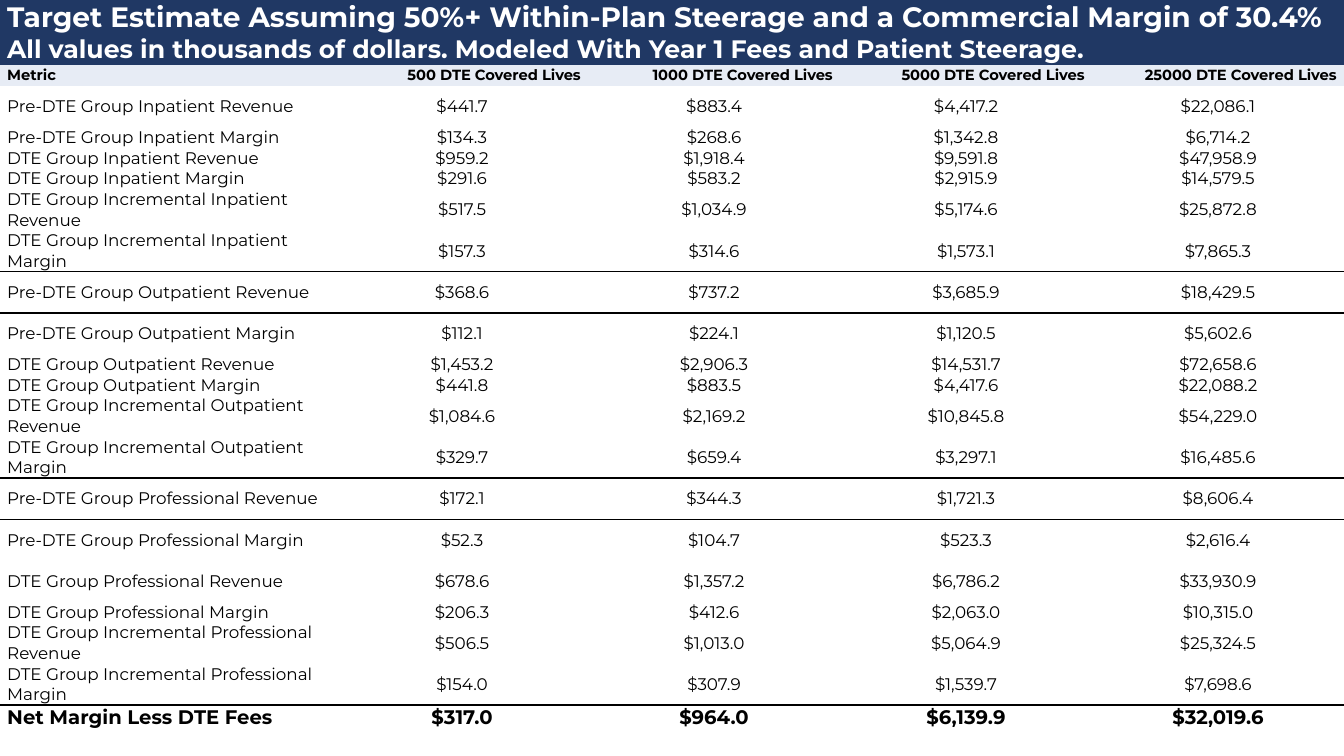
from lxml import etree
from pptx import Presentation
from pptx import util as u
from pptx.dml.color import RGBColor
from pptx.enum import text
from pptx.oxml import ns

COLORS = {"navy": "203864", "pale": "E7ECF5", "black": "000000", "white": "FFFFFF"}
NO_GRID = "{2D5ABB26-0587-4C30-8999-92F81FD0307C}"
LEFT, CENTER, RIGHT = (text.PP_ALIGN.LEFT, text.PP_ALIGN.CENTER, text.PP_ALIGN.RIGHT)
TALL, SHORT = 1.04, 0.52

TITLES = [
    ("Target Estimate Assuming 50%+ Within-Plan Steerage and a Commercial Margin of 30.4%", 20, 0.87),
    ("All values in thousands of dollars. Modeled With Year 1 Fees and Patient Steerage.", 18, 0.77),
]
LIVES = [500, 1000, 5000, 25000]
STAGES = ["Pre-DTE Group", "DTE Group", "DTE Group Incremental"]
MEASURES = ["Revenue", "Margin"]
SERVICES = {
    "Inpatient": (
        [TALL, SHORT, SHORT, SHORT, TALL, TALL],
        [
            [441.7, 883.4, 4417.2, 22086.1],
            [134.3, 268.6, 1342.8, 6714.2],
            [959.2, 1918.4, 9591.8, 47958.9],
            [291.6, 583.2, 2915.9, 14579.5],
            [517.5, 1034.9, 5174.6, 25872.8],
            [157.3, 314.6, 1573.1, 7865.3],
        ],
    ),
    "Outpatient": (
        [TALL, TALL, SHORT, SHORT, TALL, TALL],
        [
            [368.6, 737.2, 3685.9, 18429.5],
            [112.1, 224.1, 1120.5, 5602.6],
            [1453.2, 2906.3, 14531.7, 72658.6],
            [441.8, 883.5, 4417.6, 22088.2],
            [1084.6, 2169.2, 10845.8, 54229.0],
            [329.7, 659.4, 3297.1, 16485.6],
        ],
    ),
    "Professional": (
        [TALL, TALL, TALL, SHORT, TALL, TALL],
        [
            [172.1, 344.3, 1721.3, 8606.4],
            [52.3, 104.7, 523.3, 2616.4],
            [678.6, 1357.2, 6786.2, 33930.9],
            [206.3, 412.6, 2063.0, 10315.0],
            [506.5, 1013.0, 5064.9, 25324.5],
            [154.0, 307.9, 1539.7, 7698.6],
        ],
    ),
}
NET_MARGIN = [317.0, 964.0, 6139.9, 32019.6]


def write(tf, words, size=12, bold=False, color="black", align=LEFT, font="Montserrat"):
    p = tf.paragraphs[0]
    p.alignment = align
    pPr = p._p.get_or_add_pPr()
    for side in ("marL", "marR"):
        pPr.set(side, str(u.Cm(0.18)))
    pPr.set("indent", "0")
    r = p.add_run()
    r.text = words
    r.font.name, r.font.size, r.font.bold = font, u.Pt(size), bold
    r.font.color.rgb = RGBColor.from_string(COLORS[color])


class Deck:
    """Style and current slide of the margin estimate."""

    def __init__(self, width, height):
        self.prs = Presentation()
        self.prs.slide_width, self.prs.slide_height = u.Cm(width), u.Cm(height)
        self.s = self.prs.slides.add_slide(self.prs.slide_layouts[6])

    def table(self, widths, heights):
        frame = self.s.shapes.add_table(
            len(heights), len(widths), 0, 0, u.Cm(sum(widths)), u.Cm(sum(heights))
        )
        tbl = frame.table
        tbl.first_row = tbl.horz_banding = False
        tbl._tbl.tblPr.find(ns.qn("a:tableStyleId")).text = NO_GRID
        for col, width in zip(tbl.columns, widths):
            col.width = u.Cm(width)
        for row, height in zip(tbl.rows, heights):
            row.height = u.Cm(height)
        return tbl

    def cell(self, cell, words, fill=None, **style):
        cell.margin_left = cell.margin_right = cell.margin_top = cell.margin_bottom = 0
        cell.vertical_anchor = text.MSO_ANCHOR.MIDDLE
        if fill:
            cell.fill.solid()
            cell.fill.fore_color.rgb = RGBColor.from_string(COLORS[fill])
        else:
            cell.fill.background()
        write(cell.text_frame, words, **style)

    def row(self, tbl, i, label, values, align=CENTER, **style):
        self.cell(tbl.cell(i, 0), label, **style)
        for j, value in enumerate(values, 1):
            self.cell(tbl.cell(i, j), value, align=align, **style)

    def rule(self, tbl, i):
        for row, side in ((i, "a:lnB"), (i + 1, "a:lnT")):
            for cell in tbl.rows[row].cells:
                ln = etree.Element(ns.qn(side), w=str(u.Pt(1)))
                fill = etree.SubElement(ln, ns.qn("a:solidFill"))
                etree.SubElement(fill, ns.qn("a:srgbClr"), val=COLORS["black"])
                cell._tc.get_or_add_tcPr().insert(0, ln)


def dollars(values):
    return [f"${value:,.1f}" for value in values]


def main():
    deck = Deck(33.87, 19.05)
    heights = [height for _, _, height in TITLES] + [SHORT]
    for service_heights, _ in SERVICES.values():
        heights += service_heights
    heights.append(0.56)
    tbl = deck.table([8.47] + [6.35] * len(LIVES), heights)

    for i, (title, size, _) in enumerate(TITLES):
        tbl.cell(i, 0).merge(tbl.cell(i, len(LIVES)))
        deck.cell(tbl.cell(i, 0), title, fill="navy", size=size, bold=True, color="white")

    i = len(TITLES)
    headings = [f"{lives} DTE Covered Lives" for lives in LIVES]
    deck.row(tbl, i, "Metric", headings, align=RIGHT, fill="pale", size=10.5, bold=True)

    for service, (_, rows) in SERVICES.items():
        labels = [f"{stage} {service} {measure}" for stage in STAGES for measure in MEASURES]
        for label, values in zip(labels, rows):
            i += 1
            deck.row(tbl, i, label, dollars(values))
        deck.rule(tbl, i)

    deck.row(tbl, i + 1, "Net Margin Less DTE Fees", dollars(NET_MARGIN), size=14, bold=True)
    deck.prs.save("out.pptx")


if __name__ == "__main__":
    main()
